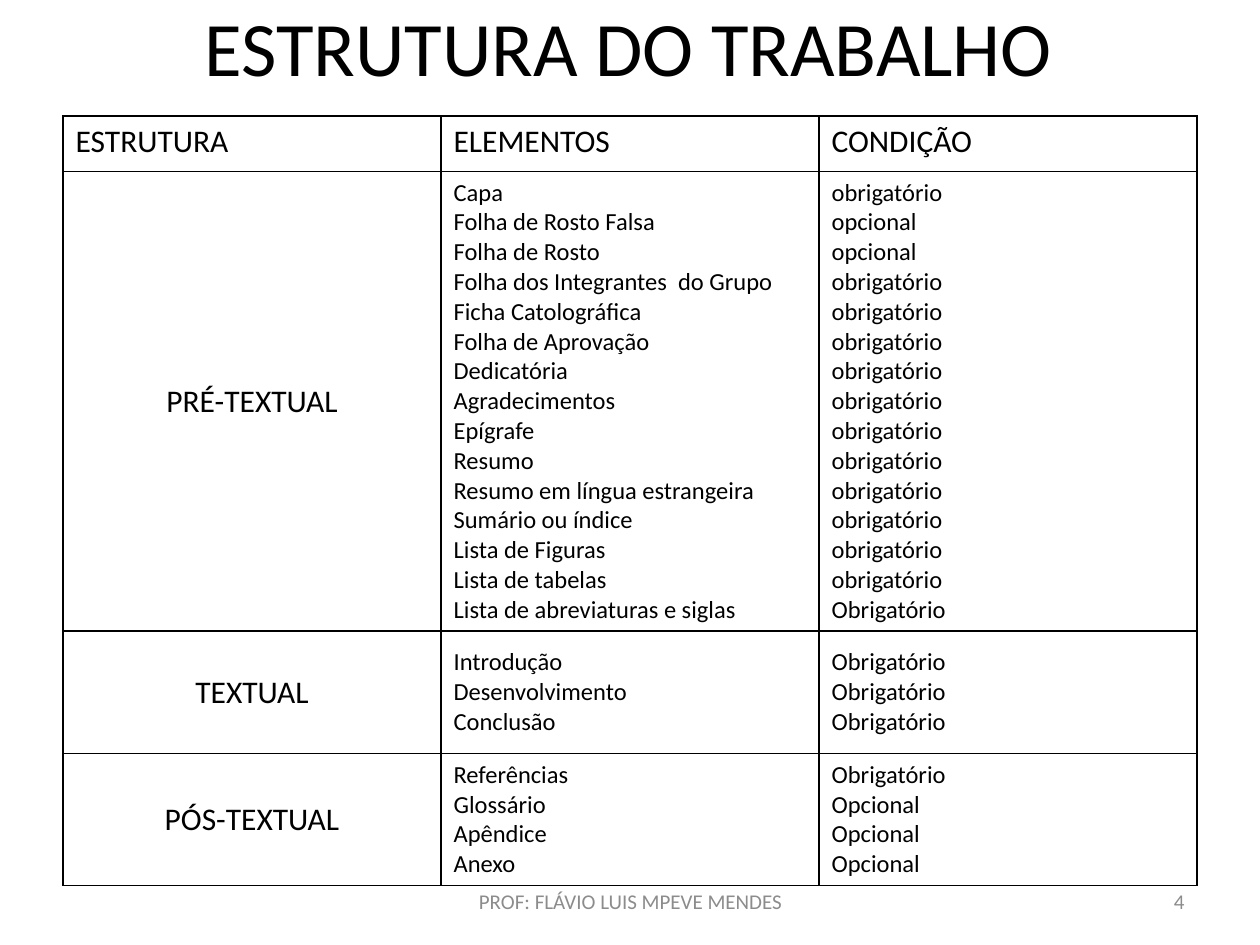
"""Builds the slide that lists the parts of an academic work and their condition."""
import pptx
import pptx.dml.color
import pptx.enum.text
import pptx.oxml
import pptx.oxml.ns
import pptx.util

BLACK = pptx.dml.color.RGBColor(0x00, 0x00, 0x00)
GRAY = pptx.dml.color.RGBColor(0x8C, 0x8C, 0x8C)
ALIGN = pptx.enum.text.PP_ALIGN
ANCHOR = pptx.enum.text.MSO_ANCHOR

HEADINGS = ["ESTRUTURA", "ELEMENTOS", "CONDIÇÃO"]
SECTIONS = [
    ("PRÉ-TEXTUAL",
     ["Capa", "Folha de Rosto Falsa", "Folha de Rosto",
      "Folha dos Integrantes  do Grupo", "Ficha Catolográfica",
      "Folha de Aprovação", "Dedicatória", "Agradecimentos", "Epígrafe",
      "Resumo", "Resumo em língua estrangeira", "Sumário ou índice",
      "Lista de Figuras", "Lista de tabelas", "Lista de abreviaturas e siglas"],
     ["obrigatório"] + ["opcional"] * 2 + ["obrigatório"] * 11 + ["Obrigatório"]),
    ("TEXTUAL",
     ["Introdução", "Desenvolvimento", "Conclusão"],
     ["Obrigatório"] * 3),
    ("PÓS-TEXTUAL",
     ["Referências", "Glossário", "Apêndice", "Anexo"],
     ["Obrigatório"] + ["Opcional"] * 3),
]
ROW_HEIGHTS = [0.88, 7.3, 1.94, 2.1]


class SlideBuilder:
    """Holds the style and the current slide, laid out on a grid of 20 columns by 15 rows."""

    font = "Calibri"
    heading_size = 18
    list_size = 14
    unit = pptx.util.Inches(0.5)

    def __init__(self, deck):
        self.slide = deck.slides.add_slide(deck.slide_layouts[5])

    def grid(self, *lengths):
        return [round(length * self.unit) for length in lengths]

    def add_lines(self, frame, lines, size, color=BLACK, align=ALIGN.LEFT):
        for index, line in enumerate(lines):
            para = frame.add_paragraph() if index else frame.paragraphs[0]
            para.alignment = align
            span = para.add_run()
            span.text = line
            span.font.name = self.font
            span.font.size = pptx.util.Pt(size)
            span.font.color.rgb = color

    def title(self, text, *place):
        box = self.slide.shapes.title
        box.left, box.top, box.width, box.height = self.grid(*place)
        box.text_frame.auto_size = pptx.enum.text.MSO_AUTO_SIZE.NONE
        box.text_frame.vertical_anchor = ANCHOR.MIDDLE
        self.add_lines(box.text_frame, [text], 44, align=ALIGN.CENTER)

    def footer(self, text, align, *place):
        frame = self.slide.shapes.add_textbox(*self.grid(*place)).text_frame
        frame.word_wrap = True
        frame.vertical_anchor = ANCHOR.MIDDLE
        self.add_lines(frame, [text], 12, GRAY, align)

    def cell(self, cell, lines, size, align=ALIGN.LEFT, anchor=ANCHOR.MIDDLE):
        properties = cell._tc.get_or_add_tcPr()
        for side in ("lnL", "lnR", "lnT", "lnB"):
            properties.append(pptx.oxml.parse_xml(
                f'<a:{side} {pptx.oxml.ns.nsdecls("a")} w="{pptx.util.Pt(1)}">'
                f'<a:solidFill><a:srgbClr val="{BLACK}"/></a:solidFill></a:{side}>'))
        cell.fill.background()
        cell.vertical_anchor = anchor
        self.add_lines(cell.text_frame, lines, size, align=align)

    def table(self, headings, sections, heights, left, top, width):
        place = self.grid(left, top, width, sum(heights))
        table = self.slide.shapes.add_table(
            len(sections) + 1, len(headings), *place).table
        table.first_row = table.horz_banding = False
        for row, height in zip(table.rows, self.grid(*heights)):
            row.height = height
        for column, heading in enumerate(headings):
            self.cell(table.cell(0, column), [heading], self.heading_size,
                      anchor=ANCHOR.TOP)
        for row, (name, *lists) in enumerate(sections, 1):
            self.cell(table.cell(row, 0), [name], self.heading_size, ALIGN.CENTER)
            for column, lines in enumerate(lists, 1):
                self.cell(table.cell(row, column), lines, self.list_size)


def main():
    deck = pptx.Presentation()
    deck.slide_width = pptx.util.Inches(10)
    deck.slide_height = pptx.util.Inches(7.5)
    builder = SlideBuilder(deck)
    builder.title("ESTRUTURA DO TRABALHO", 0.98, -0.22, 18, 1.88)
    builder.table(HEADINGS, SECTIONS, ROW_HEIGHTS, 1, 1.84, 18)
    builder.footer("PROF: FLÁVIO LUIS MPEVE MENDES", ALIGN.CENTER,
                   6.84, 13.9, 6.34, 0.8)
    builder.footer("4", ALIGN.RIGHT, 14.34, 13.9, 4.66, 0.8)
    deck.save("out.pptx")


if __name__ == "__main__":
    main()
